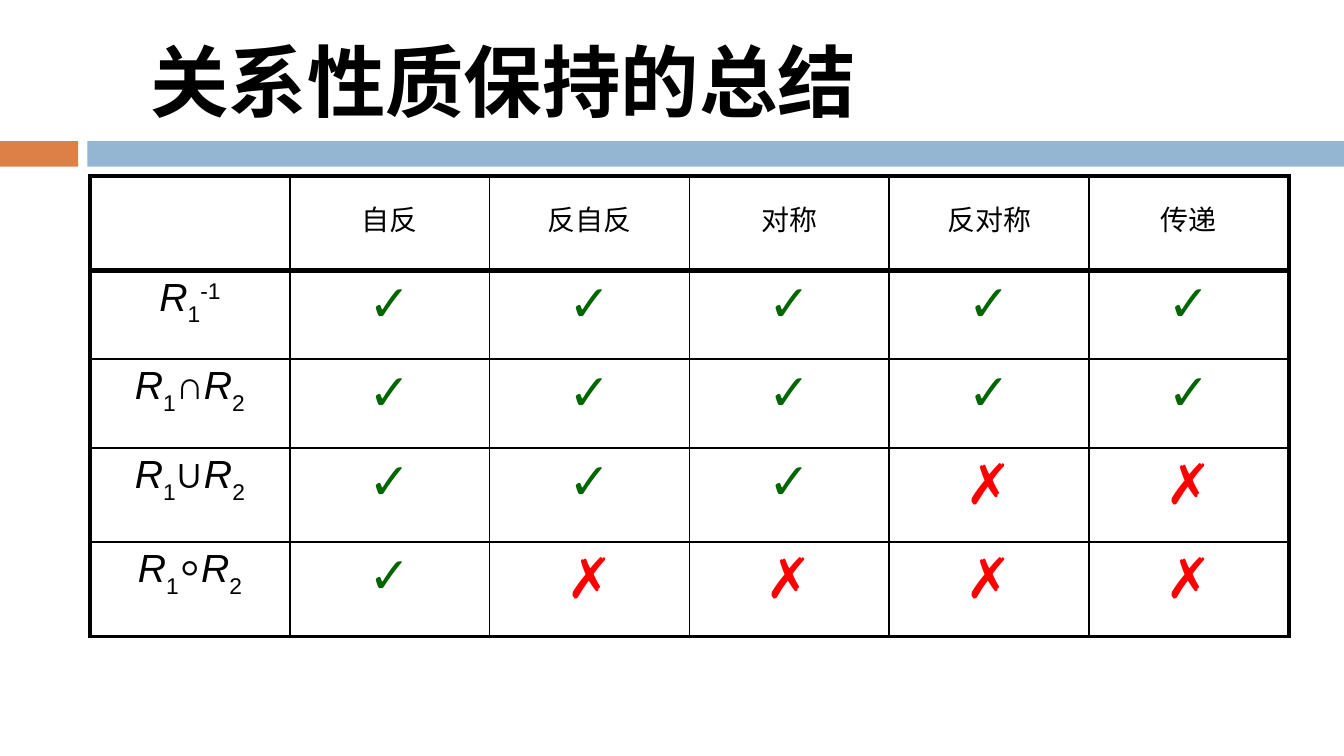
import lxml.etree
import pptx
import pptx.dml.color
import pptx.enum.shapes
import pptx.enum.text
import pptx.oxml.ns
import pptx.util
from pptx.util import Cm

COLORS = {"ink": "000000", "orange": "DD8047", "blue": "94B6D2", "yes": "006600", "no": "FF0000"}
CJK_FONT = "Noto Sans CJK SC"
HEADERS = ["自反", "反自反", "对称", "反对称", "传递"]
SUBSCRIPT, SUPERSCRIPT = -30, 30
RELATIONS = [
    ([("R", 0), ("1", SUBSCRIPT), ("-1", SUPERSCRIPT)], "✓✓✓✓✓"),
    ([("R", 0), ("1", SUBSCRIPT), ("∩", 0), ("R", 0), ("2", SUBSCRIPT)], "✓✓✓✓✓"),
    ([("R", 0), ("1", SUBSCRIPT), ("∪", 0), ("R", 0), ("2", SUBSCRIPT)], "✓✓✓✗✗"),
    ([("R", 0), ("1", SUBSCRIPT), ("⸰", 0), ("R", 0), ("2", SUBSCRIPT)], "✓✗✗✗✗"),
]
ROW_HEIGHTS = [1.78, 1.68, 1.68, 1.78, 1.78]
THIN, OUTER, HEADER_RULE = 1, 2.25, 3


def rgb(name):
    """Return the named colour."""
    return pptx.dml.color.RGBColor.from_string(COLORS[name])


def add_text(para, text, size, color="ink", font="Arial", bold=False, italic=False, baseline=0):
    """Append a formatted span to a paragraph."""
    span = para.add_run()
    span.text = text
    span.font.size = pptx.util.Pt(size)
    span.font.name = font
    span.font.bold = bold
    span.font.italic = italic
    span.font.color.rgb = rgb(color)
    props = span._r.get_or_add_rPr()
    if baseline:
        props.set("baseline", str(baseline * 1000))
    east_asian = lxml.etree.SubElement(props, pptx.oxml.ns.qn("a:ea"))
    east_asian.set("typeface", CJK_FONT)


def add_title(page, left, top, width, height):
    """Place the slide title in the given box."""
    box = page.shapes.add_textbox(Cm(left), Cm(top), Cm(width), Cm(height))
    frame = box.text_frame
    frame.word_wrap = True
    frame.vertical_anchor = pptx.enum.text.MSO_ANCHOR.MIDDLE
    add_text(frame.paragraphs[0], "关系性质保持的总结", size=42, font=CJK_FONT, bold=True)


def add_band(page, left, top, width, height):
    """Draw the two-colour band across the given box."""
    accent, gap = 1.48, 0.17
    start = accent + gap
    for color, offset, length in [("orange", 0, accent), ("blue", start, width - start)]:
        bar = page.shapes.add_shape(
            pptx.enum.shapes.MSO_SHAPE.RECTANGLE,
            Cm(left + offset), Cm(top), Cm(length), Cm(height))
        bar.shadow.inherit = False
        bar.fill.solid()
        bar.fill.fore_color.rgb = rgb(color)
        bar.line.fill.background()


def set_borders(cell, **widths):
    """Set the cell's black borders from point widths by side."""
    props = cell._tc.get_or_add_tcPr()
    for side in "LRTB":
        line = lxml.etree.SubElement(props, pptx.oxml.ns.qn(f"a:ln{side}"))
        line.set("w", str(pptx.util.Pt(widths[side])))
        fill = lxml.etree.SubElement(line, pptx.oxml.ns.qn("a:solidFill"))
        lxml.etree.SubElement(fill, pptx.oxml.ns.qn("a:srgbClr")).set("val", COLORS["ink"])


def style_cell(cell, row, column, last_row, last_column):
    """Give a cell its borders, clear fill, margins and alignment."""
    set_borders(
        cell,
        L=THIN if column else OUTER,
        R=OUTER if column == last_column else THIN,
        T={0: OUTER, 1: HEADER_RULE}.get(row, THIN),
        B={0: HEADER_RULE, last_row: OUTER}.get(row, THIN))
    cell.fill.background()
    cell.margin_left = cell.margin_right = Cm(0.25)
    cell.margin_top = Cm(0.1 if row else 0.41)
    cell.margin_bottom = Cm(0.1)
    cell.text_frame.paragraphs[0].alignment = pptx.enum.text.PP_ALIGN.CENTER


def add_property_table(page, left, top, width, height):
    """Place the table of preserved properties in the given box."""
    rows, columns = len(RELATIONS) + 1, len(HEADERS) + 1
    frame = page.shapes.add_table(rows, columns, Cm(left), Cm(top), Cm(width), Cm(height))
    table = frame.table
    for column in table.columns:
        column.width = Cm(width / columns)
    for row, row_height in zip(table.rows, ROW_HEIGHTS):
        row.height = Cm(row_height)
    for row in range(rows):
        for column in range(columns):
            style_cell(table.cell(row, column), row, column, rows - 1, columns - 1)

    for column, header in enumerate(HEADERS, 1):
        add_text(table.cell(0, column).text_frame.paragraphs[0], header, size=15)
    for row, (label, marks) in enumerate(RELATIONS, 1):
        para = table.cell(row, 0).text_frame.paragraphs[0]
        for text, baseline in label:
            add_text(para, text, size=21, italic=text == "R", baseline=baseline)
        for column, mark in enumerate(marks, 1):
            size, color = (27, "yes") if mark == "✓" else (30, "no")
            para = table.cell(row, column).text_frame.paragraphs[0]
            add_text(para, mark, size=size, color=color, bold=True)


def main():
    """Build and save the deck."""
    deck = pptx.Presentation()
    deck.slide_width, deck.slide_height = Cm(25.4), Cm(14.29)
    page = deck.slides.add_slide(deck.slide_layouts[6])
    add_band(page, 0, 2.67, 25.4, 0.48)
    add_title(page, 2.59, 0.48, 20.32, 2.06)
    add_property_table(page, 1.7, 3.33, 22.66, sum(ROW_HEIGHTS))
    deck.save("out.pptx")


if __name__ == "__main__":
    main()
